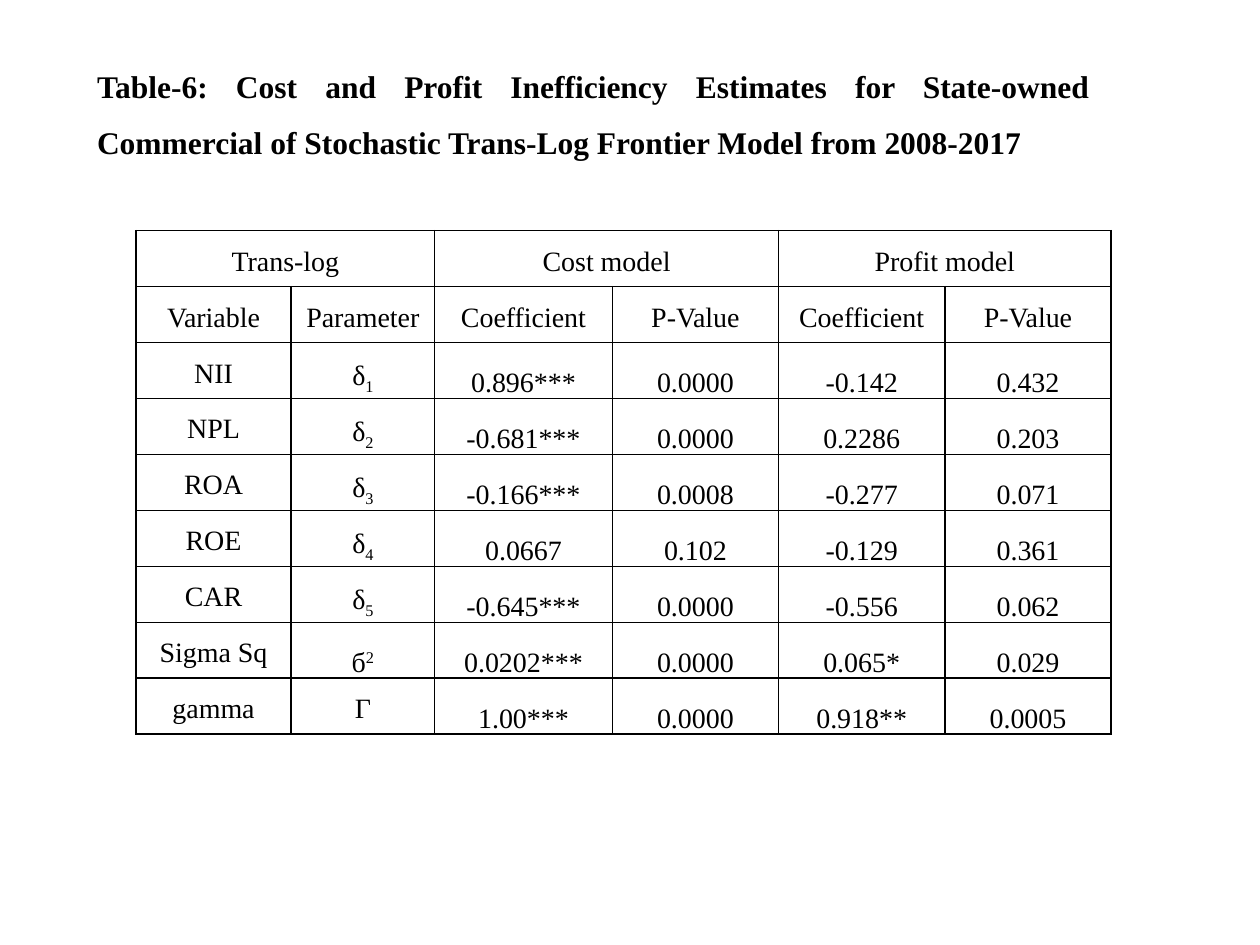
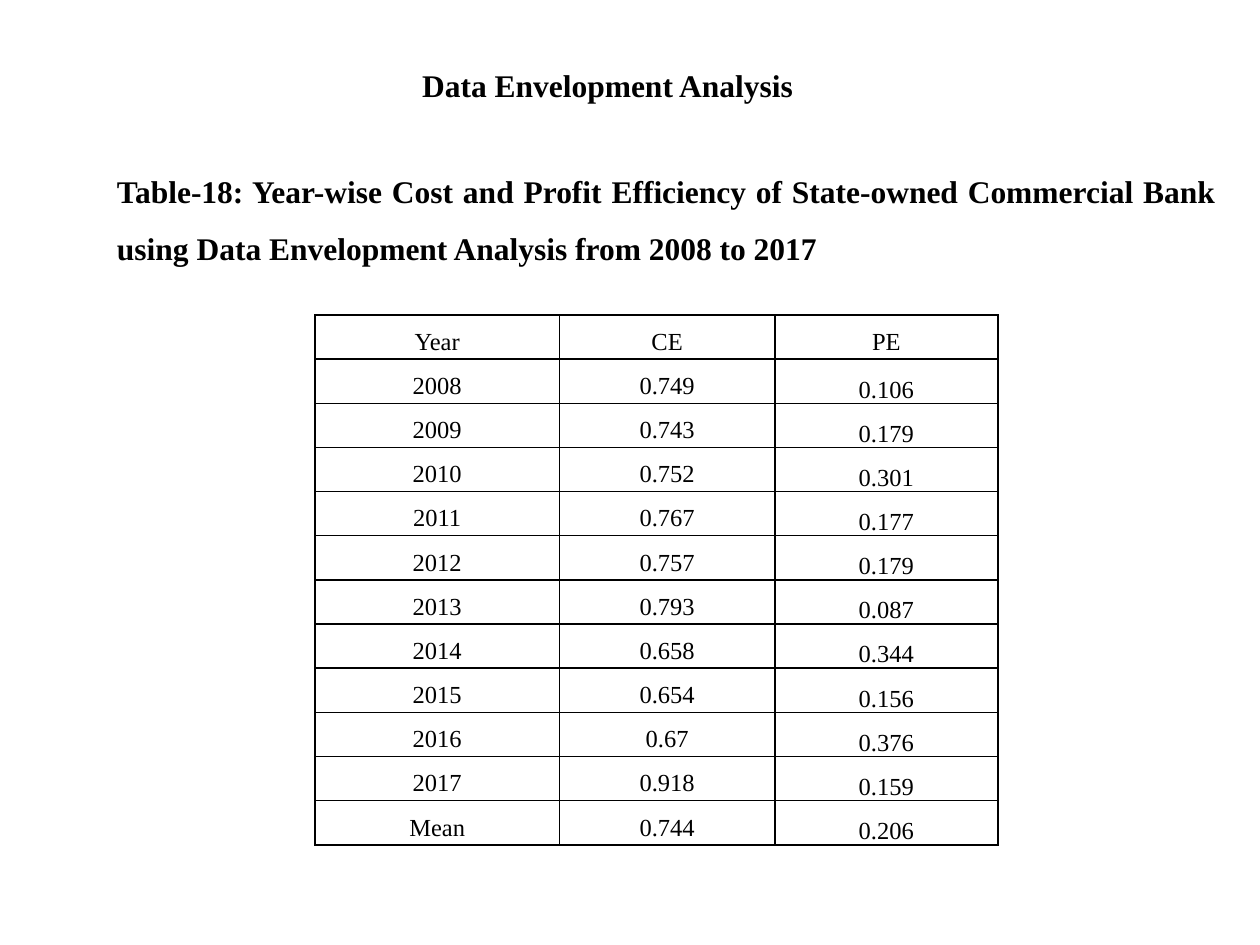
from lxml.etree import SubElement
from pptx import Presentation
from pptx.dml.color import RGBColor
from pptx.enum.text import MSO_ANCHOR, MSO_AUTO_SIZE, PP_ALIGN
from pptx.oxml.ns import qn
from pptx.util import Inches, Pt

BLACK = RGBColor(0, 0, 0)
FONT = "Times New Roman"
EDGES = ("a:lnL", "a:lnR", "a:lnT", "a:lnB")


def style(frame, size, align, bold=False):
    for par in frame.paragraphs:
        par.alignment = align
        par.line_spacing = 1.5
        par.space_before = Pt(0)
        par.space_after = Pt(10)
        for run in par.runs:
            run.font.name = FONT
            run.font.size = Pt(size)
            run.font.bold = bold
            run.font.color.rgb = BLACK


def add_grid(slide, rows, left, top, widths, height, size, low):
    shape = slide.shapes.add_table(len(rows), len(widths), Inches(left),
                                   Inches(top), Inches(sum(widths)), Inches(height))
    table = shape.table
    table.first_row = table.horz_banding = False
    for col, width in zip(table.columns, widths):
        col.width = Inches(width)
    for r, row in enumerate(rows):
        for c, text in enumerate(row):
            cell = table.cell(r, c)
            cell.margin_left = cell.margin_right = Inches(0.07)
            cell.margin_top = cell.margin_bottom = 0
            if low(r, c):
                cell.vertical_anchor = MSO_ANCHOR.BOTTOM
            props = cell._tc.get_or_add_tcPr()
            for edge in EDGES:
                line = SubElement(props, qn(edge), w=str(Pt(1)))
                fill = SubElement(line, qn("a:solidFill"))
                SubElement(fill, qn("a:srgbClr"), val=str(BLACK))
            cell.fill.background()
            if text:
                par = cell.text_frame.paragraphs[0]
                par.text = text[0] if text[0] in "δб" else text
                if text[0] in "δб":
                    mark = par.add_run()
                    mark.text = text[1:]
                    shift = "-25000" if text[0] == "δ" else "30000"
                    mark._r.get_or_add_rPr().set("baseline", shift)
            style(cell.text_frame, size, PP_ALIGN.CENTER)
    return table


deck = Presentation()
deck.slide_width = Inches(10)
deck.slide_height = Inches(7.5)

heads = [
    ("Table-6: Cost and Profit Inefficiency Estimates for State-owned Commercial "
     "of Stochastic Trans-Log Frontier Model from 2008-2017",
     (0.67, 0.33, 8.08, 0.96), True),
    ("Data Envelopment Analysis", (3.25, 0.32, 3.18, 0.56), False),
]
slides = []
for text, place, wrap in heads:
    slide = deck.slides.add_slide(deck.slide_layouts[5])
    title = slide.shapes.title
    title.left, title.top, title.width, title.height = map(Inches, place)
    frame = title.text_frame
    frame.text = text
    frame.word_wrap = wrap
    frame.auto_size = MSO_AUTO_SIZE.NONE
    frame.vertical_anchor = MSO_ANCHOR.TOP
    style(frame, 18, PP_ALIGN.JUSTIFY, True)
    slides.append(slide)
model, yearly = slides

rates = [
    ("Trans-log", "", "Cost model", "", "Profit model", ""),
    ("Variable", "Parameter", "Coefficient", "P-Value", "Coefficient", "P-Value"),
    ("NII", "δ1", "0.896***", "0.0000", "-0.142", "0.432"),
    ("NPL", "δ2", "-0.681***", "0.0000", "0.2286", "0.203"),
    ("ROA", "δ3", "-0.166***", "0.0008", "-0.277", "0.071"),
    ("ROE", "δ4", "0.0667", "0.102", "-0.129", "0.361"),
    ("CAR", "δ5", "-0.645***", "0.0000", "-0.556", "0.062"),
    ("Sigma Sq", "б2", "0.0202***", "0.0000", "0.065*", "0.029"),
    ("gamma", "Γ", "1.00***", "0.0000", "0.918**", "0.0005"),
]
table = add_grid(model, rates, 1.08, 1.83, (1.23, 1.14, 1.41, 1.32, 1.32, 1.32), 4, 16,
                 lambda r, c: r > 1 and c > 1 or (r, c) == (7, 1))
for c in (0, 2, 4):
    table.cell(0, c).merge(table.cell(0, c + 1))

box = yearly.shapes.add_textbox(Inches(0.83), Inches(1.17), Inches(8.92), Inches(0.96))
box.text_frame.word_wrap = True
box.text_frame.text = ("Table-18: Year-wise Cost and Profit Efficiency of State-owned "
                       "Commercial Bank using Data Envelopment Analysis from 2008 to 2017")
style(box.text_frame, 18, PP_ALIGN.JUSTIFY, True)

scores = [
    ("Year", "CE", "PE"),
    ("2008", "0.749", "0.106"),
    ("2009", "0.743", "0.179"),
    ("2010", "0.752", "0.301"),
    ("2011", "0.767", "0.177"),
    ("2012", "0.757", "0.179"),
    ("2013", "0.793", "0.087"),
    ("2014", "0.658", "0.344"),
    ("2015", "0.654", "0.156"),
    ("2016", "0.67", "0.376"),
    ("2017", "0.918", "0.159"),
    ("Mean", "0.744", "0.206"),
]
add_grid(yearly, scores, 2.5, 2.5, (1.94, 1.71, 1.77), 4.2, 14,
         lambda r, c: r > 0 and c == 2)

deck.save("out.pptx")
